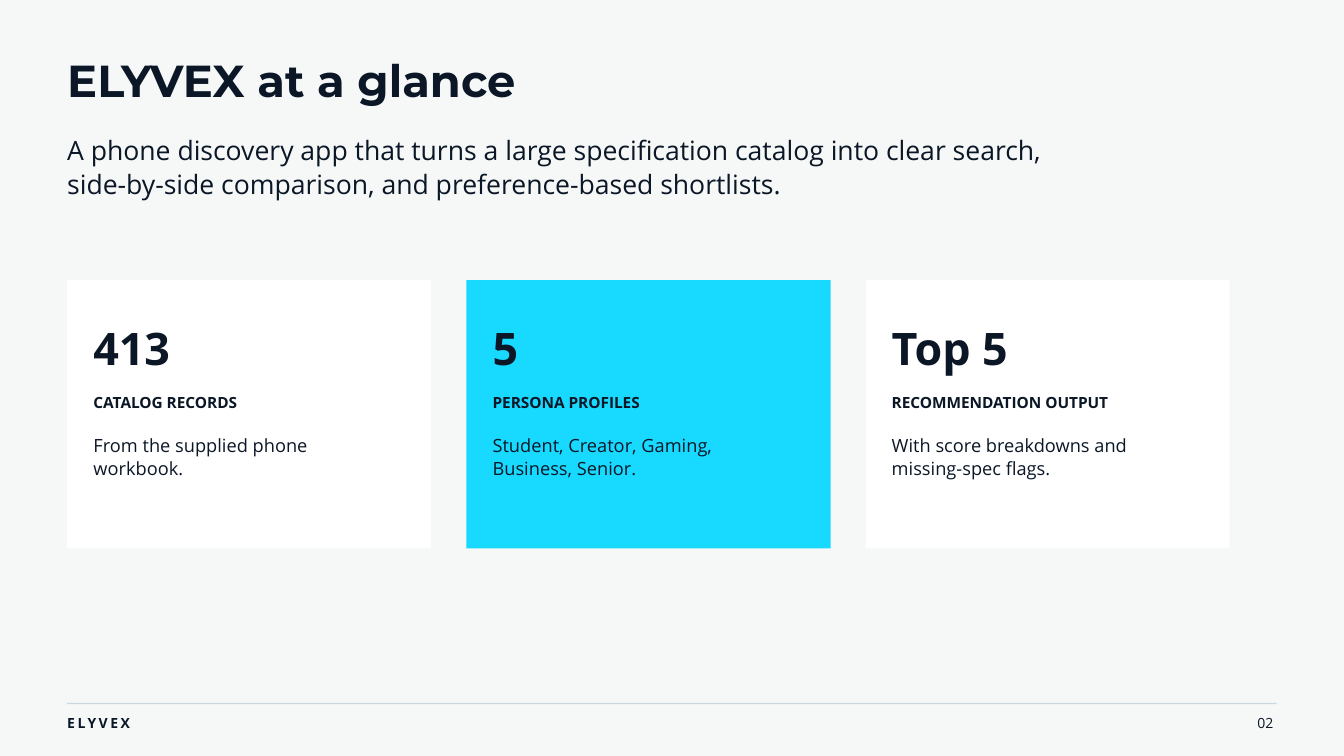
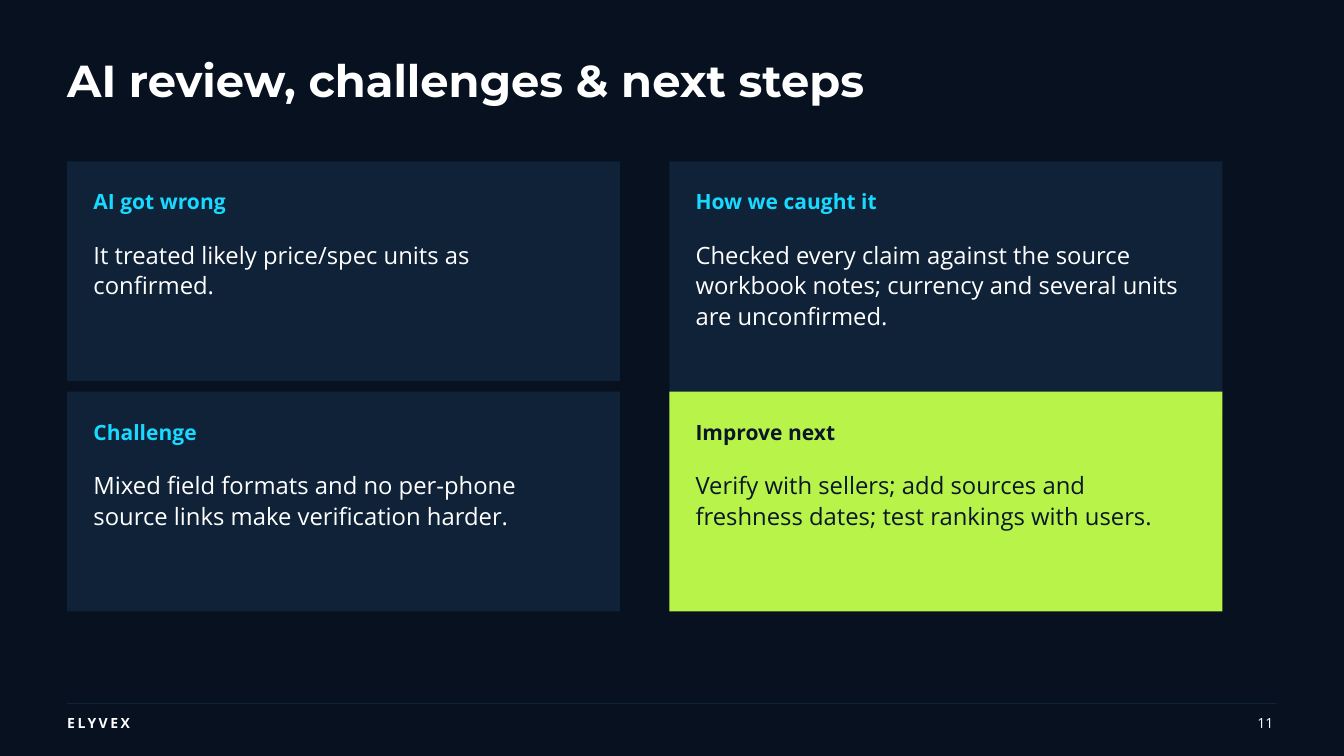
from dataclasses import dataclass

from pptx import Presentation
from pptx.dml.color import RGBColor
from pptx.enum.shapes import MSO_SHAPE
from pptx.enum.text import MSO_ANCHOR, MSO_AUTO_SIZE, PP_ALIGN
from pptx.util import Inches, Pt

RECTANGLE = MSO_SHAPE.RECTANGLE
TOP = MSO_ANCHOR.TOP
GROW = MSO_AUTO_SIZE.SHAPE_TO_FIT_TEXT
LEFT, RIGHT = PP_ALIGN.LEFT, PP_ALIGN.RIGHT

# Grid: 20 columns by 11.25 rows, so every cell is square
COLUMNS, ROWS = 20, 11.25
MARGIN = 1
PADDING = 0.39


@dataclass(frozen=True)
class Theme:
    heading_font: str = "Montserrat"
    body_font: str = "Open Sans"
    ink: str = "0B1726"
    white: str = "FFFFFF"
    mist: str = "F5F8F7"
    night: str = "07111F"
    navy: str = "102238"
    rule: str = "CBD7DC"
    cyan: str = "18D9FF"
    lime: str = "B8F34A"
    # Type styles: size and line height in points
    title: tuple = (48, 49)
    lead: tuple = (28.5, 37)
    figure: tuple = (48, 62.4)
    label: tuple = (16.5, 21.4)
    note: tuple = (19.5, 25.4)
    card_heading: tuple = (22.5, 29.2)
    card_body: tuple = (25.5, 33.1)
    footer: tuple = (15, 21)


THEME = Theme()


def write_text(shape, text, *, style, color, font=THEME.body_font,
               bold=False, align=LEFT, tracking=None):
    """Fill a text box with one paragraph in the given format."""
    frame = shape.text_frame
    frame.word_wrap = True
    frame.auto_size = GROW
    frame.vertical_anchor = TOP
    frame.margin_left = frame.margin_right = 0
    frame.margin_top = frame.margin_bottom = 0
    size, line_height = style
    paragraph = frame.paragraphs[0]
    paragraph.alignment = align
    paragraph.line_spacing = Pt(line_height)
    run = paragraph.add_run()
    run.text = text
    run.font.name = font
    run.font.size = Pt(size)
    run.font.bold = bold
    run.font.color.rgb = RGBColor.from_string(color)
    if tracking:
        run._r.get_or_add_rPr().set("spc", str(round(tracking * 100)))


class Deck:
    """Holds the theme and the slide being built."""

    def __init__(self, theme):
        self.theme = theme
        self.presentation = Presentation()
        self.presentation.slide_width = Inches(20)
        self.presentation.slide_height = Inches(11.25)
        self.slide = None
        self.text_color = theme.ink

    def place(self, column, row, width, height):
        """Turn columns and rows into slide lengths."""
        column_width = self.presentation.slide_width / COLUMNS
        row_height = self.presentation.slide_height / ROWS
        return (round(column * column_width), round(row * row_height),
                round(width * column_width), round(height * row_height))

    def new_slide(self, title, number, background, text_color, rule_color):
        layout = self.presentation.slide_layouts[6]
        self.slide = self.presentation.slides.add_slide(layout)
        self.text_color = text_color
        fill = self.slide.background.fill
        fill.solid()
        fill.fore_color.rgb = RGBColor.from_string(background)
        self.text(title, MARGIN, 0.9, 15.62, 0.69, style=self.theme.title,
                  font=self.theme.heading_font, bold=True)
        self.footer(number, rule_color)

    def text(self, text, column, row, width, height, parent=None, **style):
        shapes = (parent or self.slide).shapes
        box = shapes.add_textbox(*self.place(column, row, width, height))
        style.setdefault("color", self.text_color)
        write_text(box, text, **style)

    def block(self, column, row, width, height, color, parent=None):
        shapes = (parent or self.slide).shapes
        shape = shapes.add_shape(RECTANGLE, *self.place(column, row, width, height))
        shape.shadow.inherit = False
        shape.fill.solid()
        shape.fill.fore_color.rgb = RGBColor.from_string(color)
        shape.line.fill.background()

    def footer(self, number, rule_color):
        style = self.theme.footer
        self.block(MARGIN, 10.46, COLUMNS - 2 * MARGIN, 0.02, rule_color)
        self.text("ELYVEX", MARGIN, 10.59, 2.71, 0.28, style=style,
                  bold=True, tracking=2.7)
        self.text(number, 18.12, 10.59, 0.83, 0.28, style=style, align=RIGHT)

    def card(self, column, row, width, height, color, lines):
        """Draw a filled card; each line is (text, offset, width, height, format)."""
        group = self.slide.shapes.add_group_shape()
        self.block(column, row, width, height, color, group)
        for text, offset, text_width, text_height, style in lines:
            self.text(text, column + PADDING, row + offset, text_width,
                      text_height, group, **style)


def build_glance(deck):
    theme = deck.theme
    deck.new_slide("ELYVEX at a glance", "02", theme.mist, theme.ink, theme.rule)
    deck.text("A phone discovery app that turns a large specification catalog into "
              "clear search, side-by-side comparison, and preference-based shortlists.",
              MARGIN, 1.95, 15.21, 1.01, style=theme.lead)

    # Three key figures
    figures = [
        ("413", "CATALOG RECORDS", "From the supplied phone workbook.", theme.white),
        ("5", "PERSONA PROFILES", "Student, Creator, Gaming, Business, Senior.",
         theme.cyan),
        ("Top 5", "RECOMMENDATION OUTPUT",
         "With score breakdowns and missing-spec flags.", theme.white),
    ]
    width, pitch = 5.42, 5.94
    for index, (figure, label, note, color) in enumerate(figures):
        deck.card(MARGIN + index * pitch, 4.17, width, 3.99, color, [
            (figure, 0.54, 4.58, 0.83, dict(style=theme.figure, bold=True)),
            (label, 1.65, 4.58, 0.28, dict(style=theme.label, bold=True)),
            (note, 2.26, 4.38, 0.68, dict(style=theme.note)),
        ])


def build_review(deck):
    theme = deck.theme
    deck.new_slide("AI review, challenges & next steps", "11",
                   theme.night, theme.white, theme.navy)

    # Two by two cards: heading, body, body lines, fill, heading and body colours
    dark = (theme.navy, theme.cyan, theme.white)
    accent = (theme.lime, theme.ink, theme.ink)
    findings = [
        ("AI got wrong", "It treated likely price/spec units as confirmed.", 2, dark),
        ("How we caught it", "Checked every claim against the source workbook notes; "
         "currency and several units are unconfirmed.", 3, dark),
        ("Challenge", "Mixed field formats and no per-phone source links make "
         "verification harder.", 2, dark),
        ("Improve next", "Verify with sellers; add sources and freshness dates; "
         "test rankings with users.", 2, accent),
    ]
    line_height = theme.card_body[1] / 72
    for index, (heading, body, line_count, colors) in enumerate(findings):
        row, column = divmod(index, 2)
        fill, heading_color, body_color = colors
        body_height = line_count * line_height
        deck.card(MARGIN + column * 8.96, 2.4 + row * 3.43,
                  8.23, 2.35 + body_height, fill, [
            (heading, 0.38, 7.19, 0.39,
             dict(style=theme.card_heading, bold=True, color=heading_color)),
            (body, 1.14, 7.19, body_height,
             dict(style=theme.card_body, color=body_color)),
        ])


def main():
    deck = Deck(THEME)
    build_glance(deck)
    build_review(deck)
    deck.presentation.save("out.pptx")


if __name__ == "__main__":
    main()
